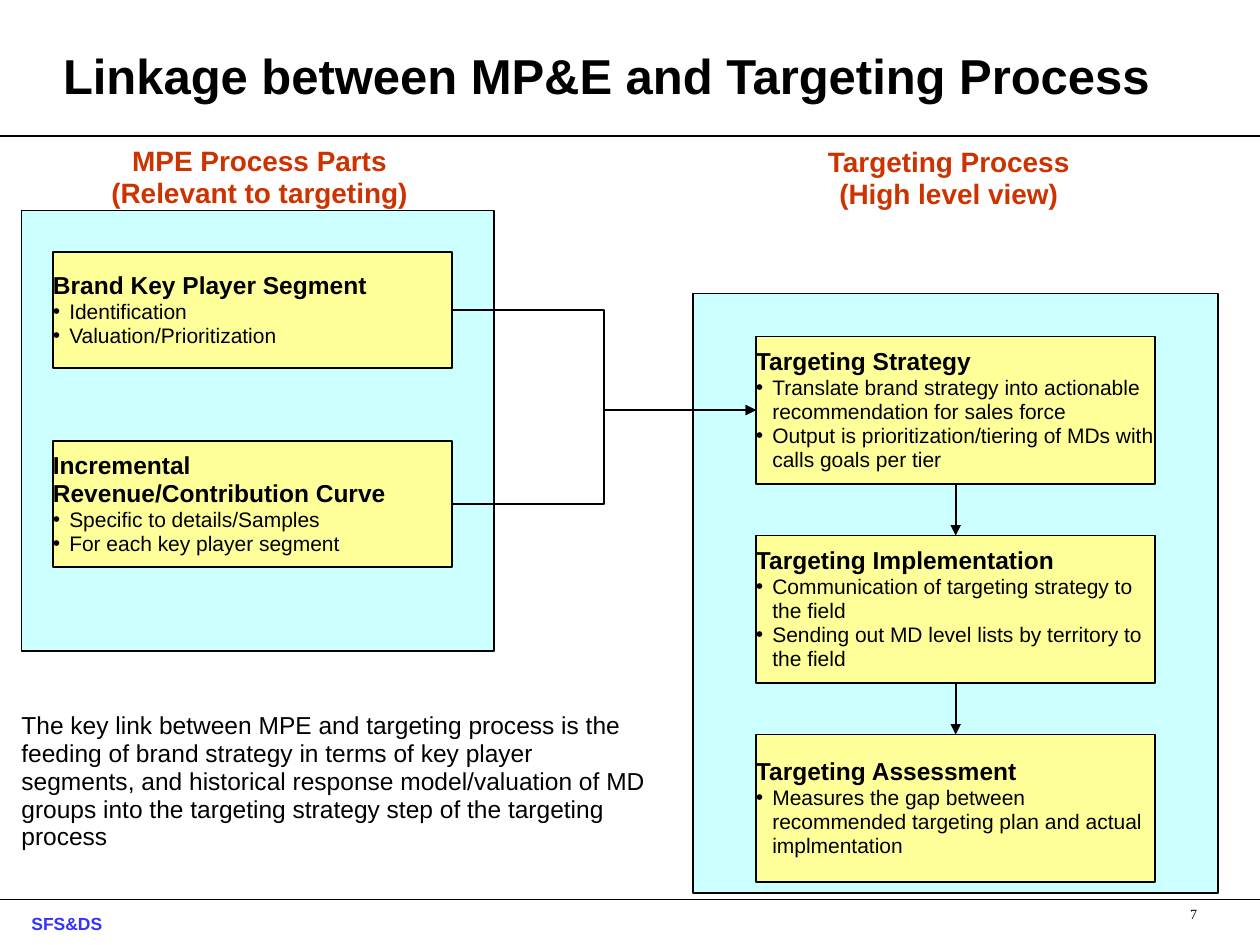
from dataclasses import dataclass
from typing import Any

from lxml import etree
from pptx import Presentation
from pptx import util as u
from pptx.dml.color import RGBColor
from pptx.enum import shapes, text
from pptx.oxml.ns import qn

COLORS = {
    "black": "000000",
    "panel": "CCFFFF",
    "step": "FFFF99",
    "heading": "CC3300",
    "footer": "3333FF",
}
TOP, LEFT, BOTTOM, RIGHT = range(4)


def rgb(name):
    return RGBColor.from_string(COLORS[name])


def write(paragraph, content, size=14, bold=False, color="black", font="Arial",
          align=text.PP_ALIGN.LEFT, spacing=0.95, hanging=0, bullet=False):
    if hanging:
        props = paragraph._p.get_or_add_pPr()
        props.set("marL", str(u.Inches(hanging)))
        props.set("indent", str(-u.Inches(hanging)))
        if bullet:
            etree.SubElement(props, qn("a:buFont")).set("typeface", "Arial")
            etree.SubElement(props, qn("a:buChar")).set("char", "•")
    paragraph.alignment = align
    paragraph.line_spacing = spacing
    run = paragraph.add_run()
    run.text = content
    run.font.size = u.Pt(size)
    run.font.bold = bold
    run.font.name = font
    run.font.color.rgb = rgb(color)


@dataclass
class Board:
    slide: Any
    line_width: float = 1
    hanging: float = 0.13

    def frame(self, shape, anchor, wrap=True, bottom=0):
        frame = shape.text_frame
        if not wrap:
            frame.auto_size = text.MSO_AUTO_SIZE.SHAPE_TO_FIT_TEXT
        frame.word_wrap = wrap
        frame.vertical_anchor = anchor
        frame.margin_left = frame.margin_top = frame.margin_right = 0
        frame.margin_bottom = u.Inches(bottom)
        return frame

    def label(self, lines, left, top, width, height, wrap=True, bottom=0,
              anchor=text.MSO_ANCHOR.TOP, **style):
        box = self.slide.shapes.add_textbox(*map(u.Inches, (left, top, width, height)))
        frame = self.frame(box, anchor, wrap, bottom)
        for i, line in enumerate(lines):
            write(frame.add_paragraph() if i else frame.paragraphs[0], line, **style)

    def panel(self, left, top, width, height, fill="panel"):
        shape = self.slide.shapes.add_shape(
            shapes.MSO_SHAPE.RECTANGLE, *map(u.Inches, (left, top, width, height)))
        shape.shadow.inherit = False
        shape.fill.solid()
        shape.fill.fore_color.rgb = rgb(fill)
        shape.line.color.rgb = rgb("black")
        shape.line.width = u.Pt(self.line_width)
        return shape

    def step(self, left, top, height, headings, points):
        shape = self.panel(left, top, 3.17, height, "step")
        frame = self.frame(shape, text.MSO_ANCHOR.MIDDLE)
        for i, line in enumerate(headings + points):
            is_point = i >= len(headings)
            write(frame.add_paragraph() if i else frame.paragraphs[0], line,
                  size=12 if is_point else 14, bold=not is_point,
                  hanging=self.hanging, bullet=is_point)
        return shape

    def connector(self, kind, *ends):
        line = self.slide.shapes.add_connector(kind, *map(u.Inches, ends))
        line.line.color.rgb = rgb("black")
        line.line.width = u.Pt(self.line_width)
        etree.SubElement(line._element.spPr, qn("a:effectLst"))
        return line

    def rule(self, y):
        self.connector(shapes.MSO_CONNECTOR.STRAIGHT, 0, y, 10, y)

    def arrow(self, source, source_site, target, target_site,
              kind=shapes.MSO_CONNECTOR.STRAIGHT):
        link = self.connector(kind, 0, 0, 0, 0)
        link.begin_connect(source, source_site)
        link.end_connect(target, target_site)
        etree.SubElement(link.line._get_or_add_ln(), qn("a:tailEnd")).set("type", "triangle")


def main():
    deck = Presentation()
    deck.slide_width, deck.slide_height = u.Inches(10), u.Inches(7.5)
    board = Board(deck.slides.add_slide(deck.slide_layouts[6]))

    for y in (7.14, 1.08):
        board.rule(y)
    board.label(["SFS&DS"], 0.25, 7.26, 3.17, 0.24, size=10, bold=True, color="footer")
    board.panel(5.5, 2.33, 4.17, 4.76)
    board.panel(0.17, 1.67, 3.75, 3.5)
    board.label(["Linkage between MP&E and Targeting Process"], 0.5, 0.42, 8.75, 0.47,
                bottom=0.06, anchor=text.MSO_ANCHOR.BOTTOM, size=28, bold=True,
                spacing=u.Pt(41))

    targeting = [
        ("Targeting Strategy",
         ["Translate brand strategy into actionable recommendation for sales force",
          "Output is prioritization/tiering of MDs with calls goals per tier"]),
        ("Targeting Implementation",
         ["Communication of targeting strategy to the field",
          "Sending out MD level lists by territory to the field"]),
        ("Targeting Assessment",
         ["Measures the gap between recommended targeting plan and actual implmentation"]),
    ]
    stages = [board.step(6, 2.67 + 1.58 * i, 1.17, [heading], points)
              for i, (heading, points) in enumerate(targeting)]
    segment = board.step(0.42, 2, 0.92, ["Brand Key Player Segment"],
                         ["Identification", "Valuation/Prioritization"])
    curve = board.step(0.42, 3.5, 1, ["Incremental", "Revenue/Contribution Curve"],
                       ["Specific to details/Samples", "For each key player segment"])

    for source in (curve, segment):
        board.arrow(source, RIGHT, stages[0], LEFT, shapes.MSO_CONNECTOR.ELBOW)
    for upper, lower in zip(stages, stages[1:]):
        board.arrow(upper, BOTTOM, lower, TOP)

    heading_style = dict(wrap=False, size=16, bold=True, color="heading",
                         align=text.PP_ALIGN.CENTER)
    board.label(["MPE Process Parts", "(Relevant to targeting)"],
                0.86, 1.16, 2.4, 0.51, **heading_style)
    board.label(["Targeting Process", "(High level view)"],
                6.56, 1.17, 1.94, 0.51, **heading_style)
    board.label(["The key link between MPE and targeting process is the feeding of brand "
                 "strategy in terms of key player segments, and historical response "
                 "model/valuation of MD groups into the targeting strategy step of the "
                 "targeting process"], 0.17, 5.65, 5, 1.11)
    board.label(["7"], 8.78, 7.2, 0.72, 0.28, size=8, font="Times New Roman",
                align=text.PP_ALIGN.RIGHT)

    deck.save("out.pptx")


if __name__ == "__main__":
    main()
